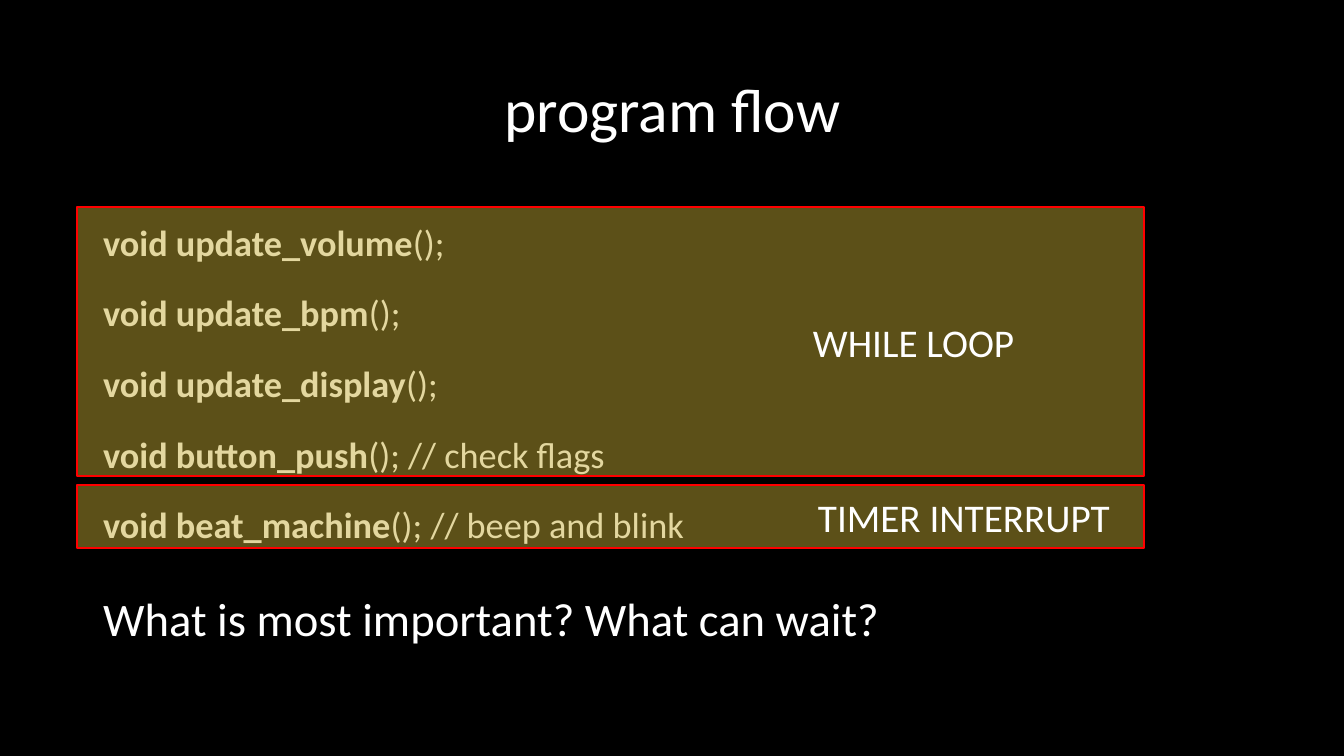
"""Build the program flow slide."""
from lxml import etree
from pptx import Presentation
from pptx.dml.color import RGBColor
from pptx.enum.shapes import MSO_SHAPE
from pptx.enum.text import MSO_ANCHOR, MSO_AUTO_SIZE, PP_ALIGN
from pptx.oxml.ns import qn
from pptx.util import Pt

RECT = MSO_SHAPE.RECTANGLE
MID, TOP = MSO_ANCHOR.MIDDLE, MSO_ANCHOR.TOP
LEFT, CENTER = PP_ALIGN.LEFT, PP_ALIGN.CENTER
FIXED = MSO_AUTO_SIZE.NONE

TITLE = "program flow"
CALLS = [
    ("void update_volume", "();"),
    ("void update_bpm", "();"),
    ("void update_display", "();"),
    ("void button_push", "(); // check flags"),
    ("void beat_machine", "(); // beep and blink"),
]
ASK = "What is most important? What can wait?"
BANDS = [
    ("WHILE LOOP", 207, 269, 736),
    ("TIMER INTERRUPT", 485, 63, 741),
]
COLORS = {"back": "000000", "text": "FFFFFF", "band": "C4AB35", "edge": "FF0000"}
ALPHA = "47000"
WIDE, HIGH = 1344, 756
TITLE_BOX = (93, 40, 1159, 146)
BODY_BOX = (93, 202, 1159, 480)
BAND_X, BAND_W = 77, 1067
CALL_FORM = {"line_spacing": 1.3, "space_before": Pt(10), "alignment": LEFT}
ASK_FORM = {"line_spacing": 0.7, "space_before": Pt(42), "alignment": LEFT}


def px(n):
    return round(n * 914400 / 100.8)


def color(key):
    return RGBColor.from_string(COLORS[key])


def apply(item, form):
    for key, value in form.items():
        setattr(item, key, value)


def place(shape, box):
    apply(shape, dict(zip(("left", "top", "width", "height"), map(px, box))))


def write(para, text, size, bold=False):
    run = para.add_run()
    run.text = text
    apply(run.font, {"name": "Calibri", "size": Pt(size), "bold": bold})
    run.font.color.rgb = color("text")


def add_line(frame, parts, size, form):
    para = frame.paragraphs[0]
    if para.runs:
        para = frame.add_paragraph()
    apply(para, form)
    props = para._p.get_or_add_pPr()
    props.set("marL", "0")
    props.set("indent", "0")
    etree.SubElement(props, qn("a:buNone"))
    for text, bold in parts:
        write(para, text, size, bold)


def add_band(slide, label, top, high, inset):
    band = slide.shapes.add_shape(RECT, *map(px, (BAND_X, top, BAND_W, high)))
    band.shadow.inherit = False
    band.fill.solid()
    band.fill.fore_color.rgb = color("band")
    tint = next(band._element.spPr.iter(qn("a:srgbClr")))
    etree.SubElement(tint, qn("a:alpha"), val=ALPHA)
    band.line.color.rgb = color("edge")
    band.line.width = Pt(1)
    frame = band.text_frame
    apply(frame, {"margin_left": px(inset), "margin_right": 0,
                  "vertical_anchor": MID, "word_wrap": True})
    frame.paragraphs[0].alignment = LEFT
    write(frame.paragraphs[0], label, 28)


def main():
    deck = Presentation()
    deck.slide_width, deck.slide_height = px(WIDE), px(HIGH)
    slide = deck.slides.add_slide(deck.slide_layouts[1])
    slide.background.fill.solid()
    slide.background.fill.fore_color.rgb = color("back")

    title, body = slide.placeholders
    for shape, box, anchor in ((title, TITLE_BOX, MID), (body, BODY_BOX, TOP)):
        place(shape, box)
        apply(shape.text_frame, {"auto_size": FIXED, "vertical_anchor": anchor,
                                 "word_wrap": True})
    head = title.text_frame.paragraphs[0]
    apply(head, {"alignment": CENTER, "line_spacing": 0.9})
    write(head, TITLE, 44)
    for name, rest in CALLS:
        add_line(body.text_frame, [(name, True), (rest, False)], 25.9, CALL_FORM)
    add_line(body.text_frame, [(ASK, False)], 33.3, ASK_FORM)

    for band in BANDS:
        add_band(slide, *band)
    deck.save("out.pptx")


if __name__ == "__main__":
    main()
